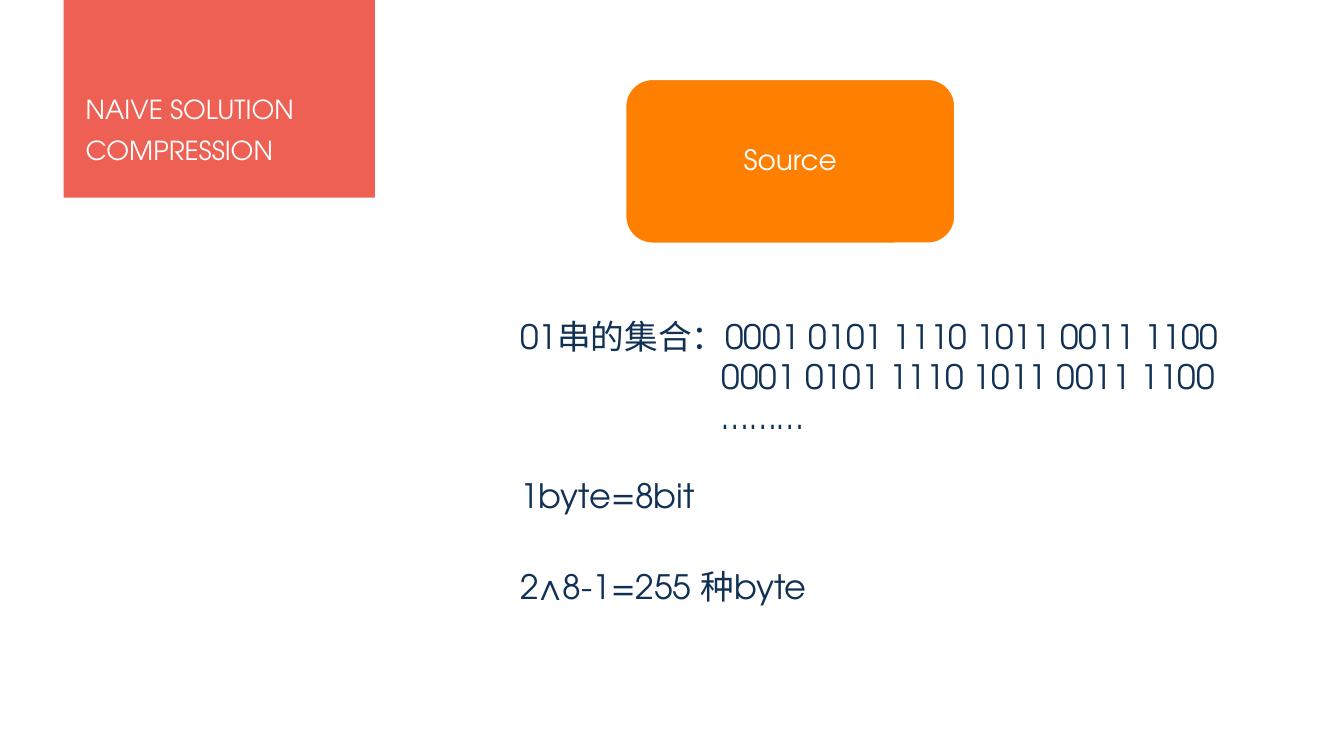
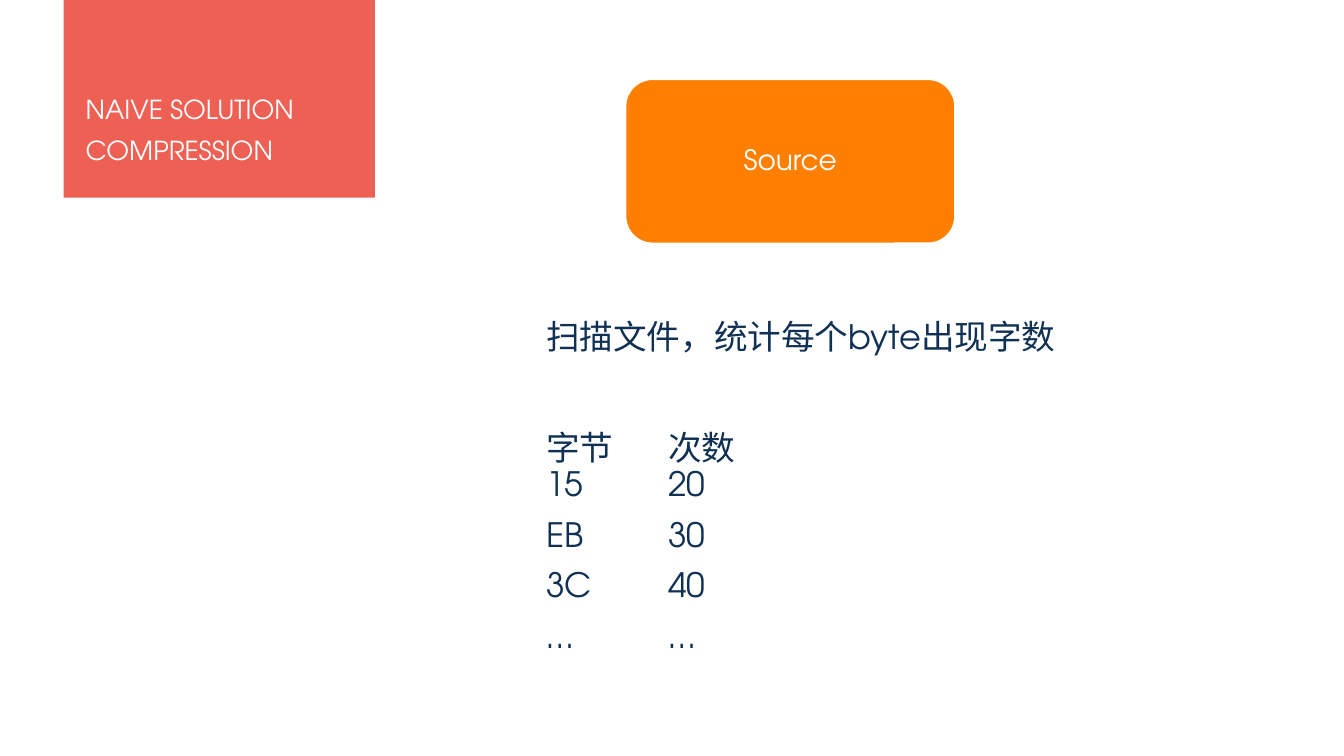
"""Build two slides on naive compression by counting bytes."""
from dataclasses import dataclass

from lxml.etree import SubElement
from pptx import Presentation
from pptx.dml.color import RGBColor
from pptx.dml.fill import FillFormat
from pptx.enum.shapes import MSO_SHAPE
from pptx.enum.text import MSO_ANCHOR, MSO_AUTO_SIZE, PP_ALIGN
from pptx.oxml.ns import qn
from pptx.slide import Slide
from pptx.text.text import TextFrame
from pptx.util import Inches, Pt

WIDTH, HEIGHT = Inches(13.333), Inches(7.5)
COLUMNS, ROWS = 128, 72
TITLE_ONLY = 5
FONT = "TeX Gyre Adventor"
CORAL, ORANGE, NAVY, WHITE = "E93929", "FF7F01", "103154", "FFFFFF"


@dataclass(frozen=True)
class Area:
    """A rectangle in grid columns and rows."""
    column: float
    row: float
    columns: float
    rows: float

    def emu(self) -> tuple[int, int, int, int]:
        return across(self.column), down(self.row), across(self.columns), down(self.rows)


@dataclass(frozen=True)
class Statement:
    """A text with its area and the indent of its following lines."""
    text: str
    area: Area
    indent: float = 0


BAND = Area(6.05, 0, 29.66, 18.82)
TITLE = Area(7.2, 7.49, 26.02, 8.83)
SOURCE = Area(59.52, 7.49, 31.49, 15.74)
COUNTS = Area(51.07, 39.65, 38.69, 14.79)
COUNT_COLUMNS = (11.62, 27.07)
COUNT_ROWS = (3.65, 1.92, 1.92, 3.65, 3.65)

BIT_STATEMENTS = (
    Statement(
        "01串的集合：0001 0101 1110 1011 0011 1100\n"
        "0001 0101 1110 1011 0011 1100\n………",
        Area(48.58, 29.57, 73.73, 12.58), indent=19.2),
    Statement("1byte=8bit", Area(48.58, 44.74, 64.03, 4.8)),
    Statement("2∧8-1=255 种byte", Area(48.58, 53.38, 64.03, 4.8)),
)
SCAN_STATEMENTS = (
    Statement("扫描文件，统计每个byte出现字数", Area(51.07, 29.66, 64.03, 4.8)),
)
BYTE_COUNTS = (("字节", "次数"), ("15", "20"), ("EB", "30"), ("3C", "40"), ("…", "…"))


def across(columns: float) -> int:
    return round(WIDTH * columns / COLUMNS)


def down(rows: float) -> int:
    return round(HEIGHT * rows / ROWS)


def paint(fill: FillFormat, color: str) -> None:
    fill.solid()
    fill.fore_color.rgb = RGBColor.from_string(color)


def write(frame: TextFrame, text: str, *, size: float = 24, color: str = NAVY,
          align: PP_ALIGN = PP_ALIGN.LEFT, anchor: MSO_ANCHOR = MSO_ANCHOR.TOP,
          spacing: float = 1.0, indent: float = 0) -> None:
    frame.text = text
    frame.word_wrap = True
    frame.vertical_anchor = anchor
    for number, paragraph in enumerate(frame.paragraphs):
        if number and indent:
            paragraph._p.get_or_add_pPr().set("marL", str(across(indent)))
        paragraph.alignment = align
        paragraph.line_spacing = spacing
        for run in paragraph.runs:
            run.font.name = FONT
            run.font.size = Pt(size)
            run.font.color.rgb = RGBColor.from_string(color)


def add_heading(slide: Slide) -> None:
    band = slide.shapes.add_shape(MSO_SHAPE.RECTANGLE, *BAND.emu())
    band.shadow.inherit = False
    band.line.fill.background()
    paint(band.fill, CORAL)
    tint = band._element.spPr.find(f"{qn('a:solidFill')}/{qn('a:srgbClr')}")
    SubElement(tint, qn("a:alpha"), val="80000")
    title = slide.shapes.title
    title._element.addprevious(band._element)
    title.left, title.top, title.width, title.height = TITLE.emu()
    write(title.text_frame, "NAIVE SOLUTION\nCOMPRESSION", size=18.7, color=WHITE, spacing=1.3)
    title.text_frame.auto_size = MSO_AUTO_SIZE.NONE


def add_source(slide: Slide) -> None:
    source = slide.shapes.add_shape(MSO_SHAPE.ROUNDED_RECTANGLE, *SOURCE.emu())
    source.shadow.inherit = False
    paint(source.fill, ORANGE)
    paint(source.line.fill, WHITE)
    source.line.width = Pt(2)
    write(source.text_frame, "Source", size=20, color=WHITE, align=PP_ALIGN.CENTER,
          anchor=MSO_ANCHOR.MIDDLE, spacing=0.9)


def add_statement(slide: Slide, statement: Statement) -> None:
    box = slide.shapes.add_textbox(*statement.area.emu())
    write(box.text_frame, statement.text, indent=statement.indent)


def add_counts(slide: Slide) -> None:
    counts = slide.shapes.add_table(
        len(COUNT_ROWS), len(COUNT_COLUMNS), *COUNTS.emu()).table
    counts.first_row = counts.horz_banding = False
    for column, columns in zip(counts.columns, COUNT_COLUMNS):
        column.width = across(columns)
    for row, rows, entries in zip(counts.rows, COUNT_ROWS, BYTE_COUNTS):
        row.height = down(rows)
        for cell, entry in zip(row.cells, entries):
            cell.fill.background()
            write(cell.text_frame, entry)


def add_slide(deck: Presentation, statements: tuple[Statement, ...]) -> Slide:
    slide = deck.slides.add_slide(deck.slide_layouts[TITLE_ONLY])
    paint(slide.background.fill, WHITE)
    add_heading(slide)
    add_source(slide)
    for statement in statements:
        add_statement(slide, statement)
    return slide


def main() -> None:
    deck = Presentation()
    deck.slide_width, deck.slide_height = WIDTH, HEIGHT
    add_slide(deck, BIT_STATEMENTS)
    add_counts(add_slide(deck, SCAN_STATEMENTS))
    deck.save("out.pptx")


if __name__ == "__main__":
    main()
